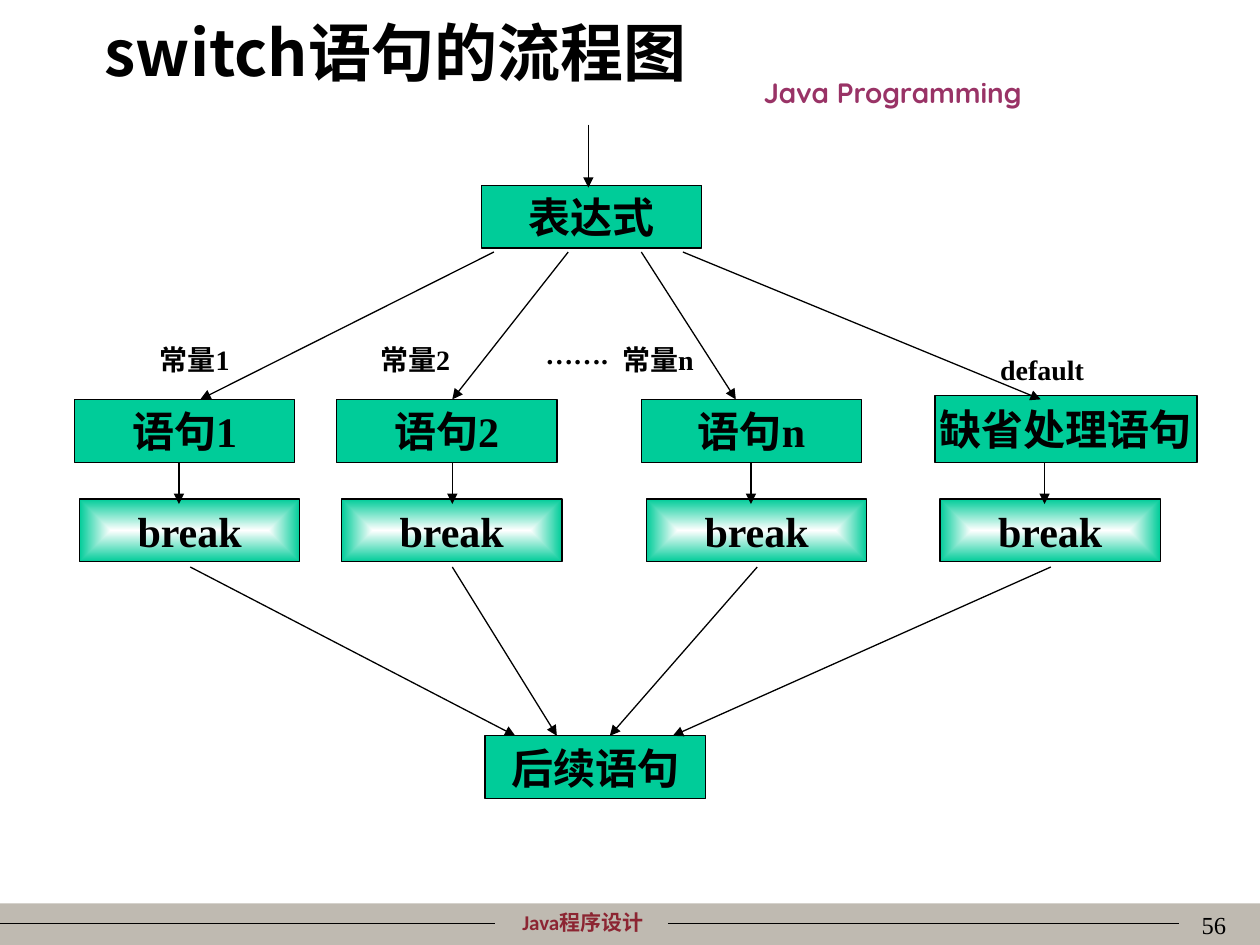
"""Build a slide with the flow chart of the switch statement."""
from dataclasses import dataclass

from lxml import etree
from pptx import Presentation
from pptx.dml.color import RGBColor
from pptx.enum.shapes import MSO_CONNECTOR, MSO_SHAPE
from pptx.enum.text import MSO_ANCHOR, MSO_AUTO_SIZE, PP_ALIGN
from pptx.oxml import parse_xml
from pptx.oxml.ns import nsdecls, qn
from pptx.util import Inches, Pt

RECT = MSO_SHAPE.RECTANGLE
STRAIGHT = MSO_CONNECTOR.STRAIGHT
TOP, MIDDLE = MSO_ANCHOR.TOP, MSO_ANCHOR.MIDDLE
FIXED = MSO_AUTO_SIZE.NONE
LEFT, CENTER, RIGHT, JUSTIFY = (
    PP_ALIGN.LEFT, PP_ALIGN.CENTER, PP_ALIGN.RIGHT, PP_ALIGN.JUSTIFY)

HEX = {"ink": "000000", "green": "00CC99", "white": "FFFFFF",
       "bar": "BFBAB1", "red": "8C2532", "plum": "993366"}
SERIF, HAN = "Times New Roman", "Noto Sans CJK SC"
WIDE, HIGH = 1.75, 0.5
SHIFT, ROW, NEXT, LAST = 0.04, 3.17, 3.96, 5.84

GLOW = f"""<a:gradFill {nsdecls('a')} rotWithShape="1"><a:gsLst>
<a:gs pos="0"><a:srgbClr val="{HEX['white']}"/></a:gs>
<a:gs pos="100000"><a:srgbClr val="{HEX['green']}"/></a:gs></a:gsLst>
<a:path path="rect"><a:fillToRect l="50000" t="50000" r="50000" b="50000"/></a:path>
</a:gradFill>"""


@dataclass
class Box:
    text: str
    left: float
    top: float
    width: float = WIDE
    height: float = HIGH
    glow: bool = False


@dataclass
class Label:
    text: str
    left: float
    top: float
    width: float
    height: float = 0.37
    size: float = 16
    font: str = SERIF
    color: str = "ink"
    bold: bool = True
    align: PP_ALIGN = LEFT


@dataclass
class Line:
    x1: float
    y1: float
    x2: float
    y2: float
    head: bool = True


@dataclass
class Case:
    box: Box
    start: float
    land: float
    drop: float
    leave: float
    join: float


CASES = [
    Case(Box("语句1", 0.59, ROW), 3.92, 1.59, 1.42, 1.51, 4.09),
    Case(Box("语句2", 2.67, ROW), 4.51, 3.59, 3.59, 3.59, 4.42),
    Case(Box("语句n", 5.09, ROW), 5.09, 5.84, 5.96, 6.01, 4.84),
    Case(Box("缺省处理语句", 7.42, 3.14, 2.08, 0.53), 5.42, 8.26, 8.29, 8.34, 5.34),
]
TITLE = Label("switch语句的流程图", 0.83, 0.11, 5.52, 0.55, 36, HAN, align=JUSTIFY)
LABELS = [
    Label("Java程序设计", 3.62, 7.17, 2.01, 0.3, 12, "Calibri", "red", align=CENTER),
    Label("Java Programming", 5.08, 0.55, 4.01, font="Quicksand", color="plum",
          align=CENTER),
    Label("56", 7.75, 7.17, 2.08, 0.5, 14, bold=False, align=RIGHT),
    Label("常量1", 1.17, 2.67, 0.83),
    Label("常量2", 2.92, 2.67, 0.83),
    Label("常量n", 4.84, 2.67, 0.83),
    Label("default", 7.84, 2.75, 1),
    Label("…….", 4.23, 2.62, 0.83),
]


def tint(name: str) -> RGBColor:
    """Return a named colour."""
    return RGBColor.from_string(HEX[name])


def write(frame, text: str, size: float, font: str = SERIF, color: str = "ink",
          bold: bool = True, align: PP_ALIGN = CENTER) -> None:
    """Add one styled run to the first paragraph of a frame."""
    para = frame.paragraphs[0]
    para.alignment = align
    run = para.add_run()
    run.text = text
    face = run.font
    face.size, face.bold, face.name = Pt(size), bold, font
    face.color.rgb = tint(color)
    props = run._r.get_or_add_rPr()
    etree.SubElement(props, qn("a:ea")).set("typeface", HAN)


def draw_title(slide, item: Label) -> None:
    """Place and fill the title placeholder."""
    shape = slide.shapes.title
    shape.left, shape.top = Inches(item.left), Inches(item.top)
    shape.width, shape.height = Inches(item.width), Inches(item.height)
    frame = shape.text_frame
    frame.auto_size, frame.vertical_anchor = FIXED, TOP
    frame.margin_left = frame.margin_right = Inches(0)
    frame.margin_top = frame.margin_bottom = Inches(0)
    write(frame, item.text, item.size, item.font, item.color, item.bold, item.align)


def draw_label(slide, item: Label) -> None:
    """Draw a free text label."""
    shape = slide.shapes.add_textbox(Inches(item.left), Inches(item.top),
                                     Inches(item.width), Inches(item.height))
    frame = shape.text_frame
    frame.word_wrap = True
    write(frame, item.text, item.size, item.font, item.color, item.bold, item.align)


def draw_bar(slide) -> None:
    """Draw the footer band."""
    shape = slide.shapes.add_shape(RECT, Inches(0), Inches(7.17),
                                   Inches(10), Inches(0.33))
    shape.shadow.inherit = False
    shape.fill.solid()
    shape.fill.fore_color.rgb = tint("bar")
    shape.line.fill.background()


def draw_box(slide, item: Box) -> None:
    """Draw one step of the chart."""
    shape = slide.shapes.add_shape(RECT, Inches(item.left), Inches(item.top),
                                   Inches(item.width), Inches(item.height))
    shape.shadow.inherit = False
    if item.glow:
        shape._element.spPr.find(qn("a:prstGeom")).addnext(parse_xml(GLOW))
    else:
        shape.fill.solid()
        shape.fill.fore_color.rgb = tint("green")
    shape.line.color.rgb = tint("ink")
    shape.line.width = Pt(0.75)
    frame = shape.text_frame
    frame.word_wrap, frame.vertical_anchor = False, MIDDLE
    write(frame, item.text, 24)


def draw_line(slide, item: Line) -> None:
    """Draw a line, with an arrowhead if wanted."""
    shape = slide.shapes.add_connector(STRAIGHT, Inches(item.x1), Inches(item.y1),
                                       Inches(item.x2), Inches(item.y2))
    shape.line.color.rgb = tint("ink")
    shape.line.width = Pt(0.75)
    if item.head:
        edge = shape.line._get_or_add_ln()
        etree.SubElement(edge, qn("a:tailEnd")).set("type", "triangle")
    etree.SubElement(shape._element.spPr, qn("a:effectLst"))


def main() -> None:
    """Build and save the slide."""
    deck = Presentation()
    deck.slide_width, deck.slide_height = Inches(10), Inches(7.5)
    slide = deck.slides.add_slide(deck.slide_layouts[5])
    draw_bar(slide)
    draw_title(slide, TITLE)
    boxes = [Box("表达式", 3.82, 1.47), Box("后续语句", 3.85, LAST)]
    lines = [Line(0, 7.33, 3.93, 7.33, False), Line(5.3, 7.33, 9.36, 7.33, False),
             Line(4.67, 0.99, 4.67, 1.49)]
    for case in CASES:
        boxes += [case.box, Box("break", case.box.left + SHIFT, NEXT, glow=True)]
        lines += [Line(case.start, 2, case.land, ROW),
                  Line(case.drop, 3.67, case.drop, 4),
                  Line(case.leave, 4.5, case.join, LAST)]
    for box in boxes:
        draw_box(slide, box)
    for line in lines:
        draw_line(slide, line)
    for label in LABELS:
        draw_label(slide, label)
    deck.save("out.pptx")


if __name__ == "__main__":
    main()
